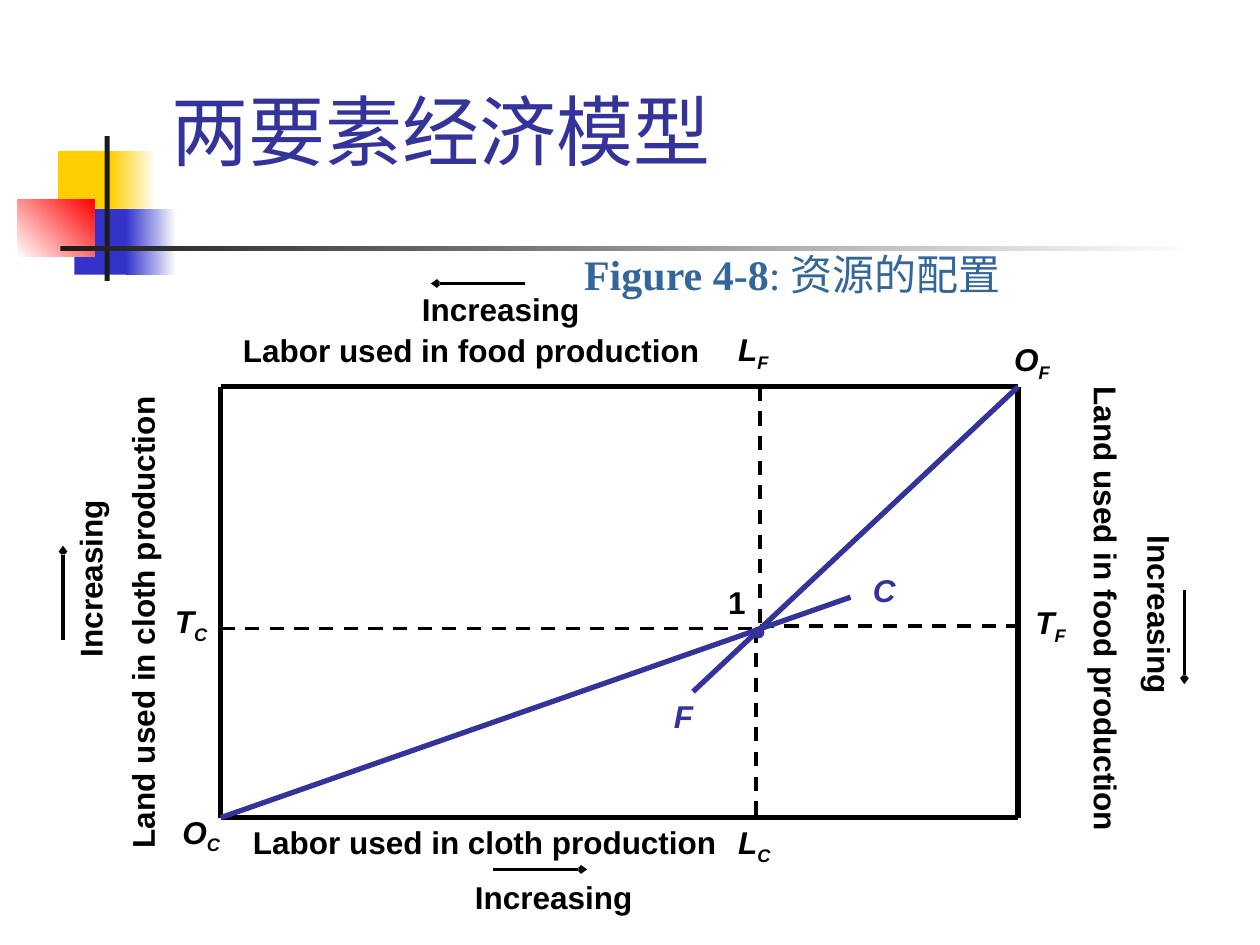
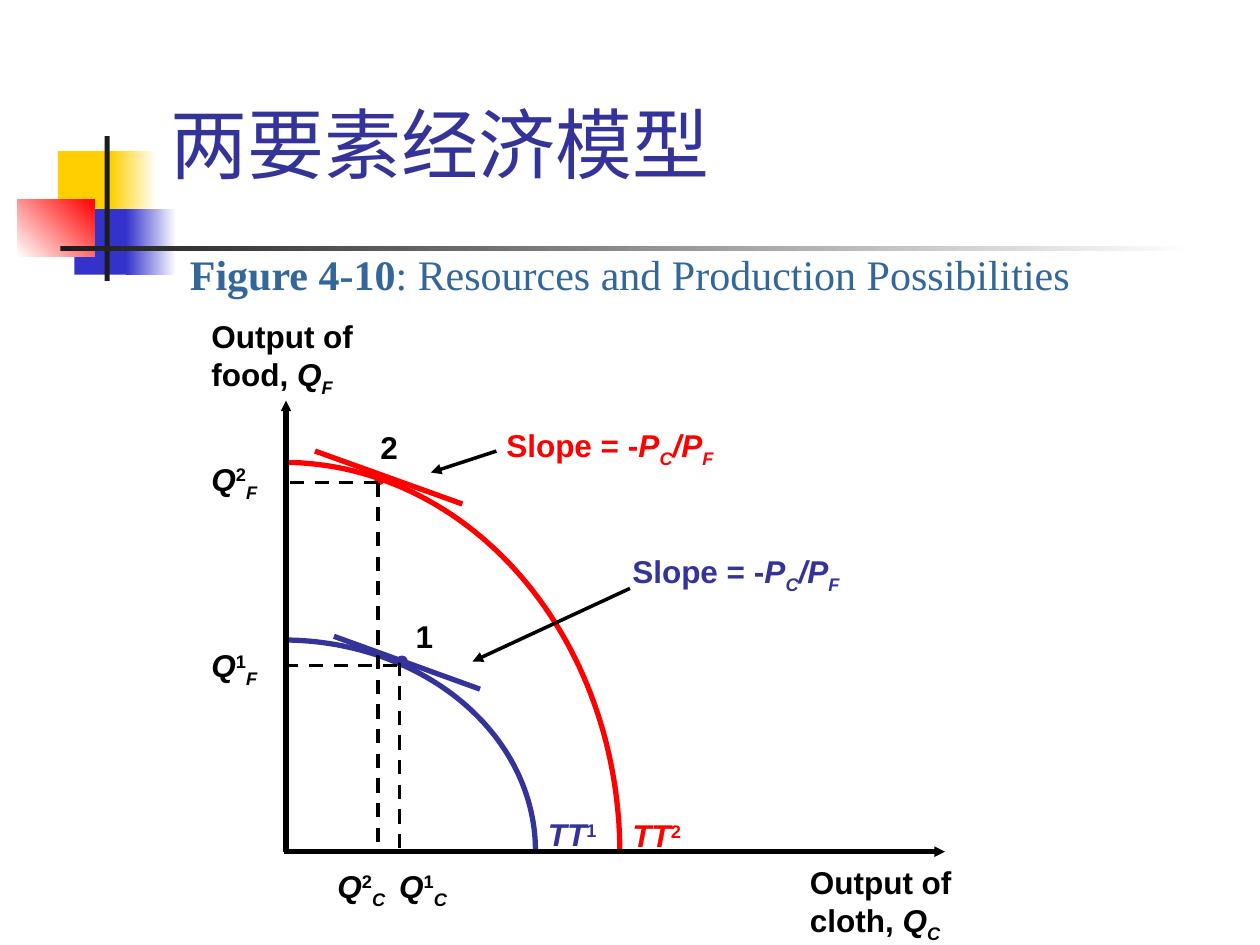
import math
from dataclasses import dataclass
from typing import NamedTuple, Optional

from lxml import etree
from pptx import Presentation
from pptx.dml.color import RGBColor
from pptx.enum import dml, shapes, text
from pptx.oxml import ns
from pptx.util import Inches, Pt


@dataclass(frozen=True)
class Theme:
    ink: str = "000000"
    indigo: str = "333399"
    red: str = "FF0000"
    caption: str = "336699"
    yellow: str = "FFCF01"
    blue: str = "3333CC"
    charcoal: str = "1C1C1C"
    white: str = "FFFFFF"
    title_font: str = "Roboto"
    caption_font: str = "Times New Roman"
    label_font: str = "Arial"
    title_size: int = 44
    caption_size: int = 24
    label_size: int = 18
    thin: int = 2
    thick: int = 3


T = Theme()
TITLE = "两要素经济模型"


class Run(NamedTuple):
    text: str
    italic: bool = False
    baseline: int = 0


class Label(NamedTuple):
    left: float
    top: float
    width: float
    lines: list[list[Run]]
    color: str = T.ink
    rotation: int = 0
    wrap: bool = False


class Line(NamedTuple):
    start: tuple[float, float]
    end: tuple[float, float]
    color: str = T.ink
    weight: int = T.thin
    dashed: bool = False
    head: Optional[str] = None
    head_size: str = "med"


class Dot(NamedTuple):
    left: float
    top: float
    color: str
    outlined: bool = True


class Frontier(NamedTuple):
    """A quarter ellipse that falls from the food axis to the cloth axis."""
    left: float
    top: float
    width: float
    height: float
    color: str


class Band(NamedTuple):
    box: tuple[float, float, float, float]
    color: str
    fade_to: Optional[str] = None
    angle: int = 0


BANDS = [
    Band((0.46, 1.2, 0.48, 0.52), T.yellow),
    Band((0.88, 1.2, 0.36, 0.52), T.yellow, T.white),
    Band((0.59, 1.66, 0.46, 0.52), T.blue),
    Band((1, 1.66, 0.4, 0.52), T.blue, T.white),
    Band((0.14, 1.58, 0.61, 0.46), T.white, T.red, 45),
    Band((0.83, 1.08, 0.04, 1.15), T.charcoal),
    Band((0.48, 1.95, 9, 0.04), T.charcoal, T.white),
]


def rgb(color: str) -> RGBColor:
    return RGBColor.from_string(color)


def plain(s: str) -> list[list[Run]]:
    return [[Run(s)]]


def indexed(letter: str, sub: str, sup: str = "") -> list[Run]:
    """An italic symbol with a subscript and perhaps an upright superscript."""
    runs = [Run(letter, True)]
    if sup:
        runs.append(Run(sup, False, 30))
    return runs + [Run(sub, True, -25)]


def add_band(slide, band: Band) -> None:
    sp = slide.shapes.add_shape(shapes.MSO_SHAPE.RECTANGLE, *map(Inches, band.box))
    sp.shadow.inherit = False
    sp.line.fill.background()
    if band.fade_to is None:
        sp.fill.solid()
        sp.fill.fore_color.rgb = rgb(band.color)
        return
    sp.fill.gradient()
    sp.fill.gradient_angle = band.angle
    for stop, color in zip(sp.fill.gradient_stops, (band.color, band.fade_to)):
        stop.color.rgb = rgb(color)


def add_line(slide, line: Line) -> None:
    cxn = slide.shapes.add_connector(
        shapes.MSO_CONNECTOR.STRAIGHT, *map(Inches, line.start + line.end))
    cxn.line.color.rgb = rgb(line.color)
    cxn.line.width = Pt(line.weight)
    if line.dashed:
        cxn.line.dash_style = dml.MSO_LINE.DASH
    if line.head:
        etree.SubElement(cxn.line._get_or_add_ln(), ns.qn("a:tailEnd"),
                         type=line.head, w=line.head_size, len=line.head_size)
    etree.SubElement(cxn._element.spPr, ns.qn("a:effectLst"))


def add_dot(slide, dot: Dot) -> None:
    sp = slide.shapes.add_shape(shapes.MSO_SHAPE.OVAL, Inches(dot.left), Inches(dot.top),
                                Inches(0.08), Inches(0.08))
    sp.shadow.inherit = False
    sp.fill.solid()
    sp.fill.fore_color.rgb = rgb(dot.color)
    if dot.outlined:
        sp.line.color.rgb = rgb(dot.color)
        sp.line.width = Pt(1)
    else:
        sp.line.fill.background()


def add_frontier(slide, f: Frontier, steps: int = 60) -> None:
    angles = [math.pi / 2 * i / steps for i in range(steps + 1)]
    points = [(Inches(f.left + f.width * math.sin(a)),
               Inches(f.top + f.height * (1 - math.cos(a)))) for a in angles]
    builder = slide.shapes.build_freeform(*points[0])
    builder.add_line_segments(points[1:], close=False)
    sp = builder.convert_to_shape()
    sp.shadow.inherit = False
    sp.fill.background()
    sp.line.color.rgb = rgb(f.color)
    sp.line.width = Pt(T.thick)


def add_label(slide, label: Label) -> None:
    height = 0.4 if len(label.lines) == 1 else 0.74
    box = slide.shapes.add_textbox(*map(Inches, (label.left, label.top, label.width, height)))
    box.rotation = label.rotation
    tf = box.text_frame
    tf.word_wrap = label.wrap
    tf.auto_size = text.MSO_AUTO_SIZE.SHAPE_TO_FIT_TEXT
    for i, runs in enumerate(label.lines):
        p = tf.add_paragraph() if i else tf.paragraphs[0]
        p.font.name, p.font.size, p.font.bold = T.label_font, Pt(T.label_size), True
        p.font.color.rgb = rgb(label.color)
        for run in runs:
            r = p.add_run()
            r.text = run.text
            if run.italic:
                r.font.italic = True
            if run.baseline:
                r._r.get_or_add_rPr().set("baseline", str(run.baseline * 1000))


def add_caption(slide, left: float, width: float, number: str, words: str) -> None:
    box = slide.shapes.add_textbox(*map(Inches, (left, 1.17, width, 1.25)))
    tf = box.text_frame
    tf.word_wrap = True
    tf.vertical_anchor = text.MSO_ANCHOR.BOTTOM
    p = tf.paragraphs[0]
    p.alignment = text.PP_ALIGN.CENTER
    p.font.name, p.font.size = T.caption_font, Pt(T.caption_size)
    p.font.color.rgb = rgb(T.caption)
    for part, bold in ((number, True), (words, False)):
        r = p.add_run()
        r.text = part
        r.font.bold = bold


def new_slide(prs, title_left: float, title_top: float):
    """A slide with the shared bands and title."""
    slide = prs.slides.add_slide(prs.slide_layouts[5])
    for band in BANDS:
        add_band(slide, band)
    title = slide.shapes.title
    title.left, title.top, title.width, title.height = map(
        Inches, (title_left, title_top, 8.52, 1.6))
    tf = title.text_frame
    tf.text = TITLE
    tf.vertical_anchor = text.MSO_ANCHOR.MIDDLE
    p = tf.paragraphs[0]
    p.alignment = text.PP_ALIGN.LEFT
    p.font.name, p.font.size = T.title_font, Pt(T.title_size)
    p.font.color.rgb = rgb(T.indigo)
    return slide


DRAW = {Line: add_line, Dot: add_dot, Frontier: add_frontier, Label: add_label}


def draw(slide, items: list) -> None:
    for item in items:
        DRAW[type(item)](slide, item)


def allocation_slide(prs) -> None:
    slide = new_slide(prs, 1.26, 0.23)
    left, top, right, bottom = 1.75, 3.07, 8.08, 6.49
    corners = [(left, top), (right, top), (right, bottom), (left, bottom)]
    guides = [((6.03, 4.97), (right, 4.97)), ((6.03, top), (6.03, 4.97)),
              ((6, 4.99), (6, bottom)), ((left, 4.99), (6, 4.99))]
    arrows = [((4.17, 2.25), (3.42, 2.25)), ((3.91, 6.9), (4.66, 6.9)),
              ((9.4, 4.68), (9.4, 5.43)), ((0.5, 5.08), (0.5, 4.33))]
    increasing = [(3.25, 2.25, 0), (3.67, 6.92, 0), (8.48, 4.68, 90), (-0.01, 4.39, 270)]
    axes = [(1.83, 2.58, 3.86, "Labor used in food production", 0),
            (1.91, 6.48, 3.9, "Labor used in cloth production", 0),
            (-0.77, 4.73, 3.8, "Land used in cloth production", 270),
            (6.9, 4.65, 3.76, "Land used in food production", 90)]
    symbols = [(5.76, 2.57, 0.44, "L", "F"), (8.12, 4.74, 0.44, "T", "F"),
               (5.76, 6.48, 0.46, "L", "C"), (1.29, 4.73, 0.46, "T", "C"),
               (7.95, 2.65, 0.48, "O", "F"), (1.35, 6.4, 0.5, "O", "C")]
    draw(slide, [
        *(Line(a, b, dashed=True) for a, b in guides),
        *(Line(a, b, weight=T.thick) for a, b in zip(corners, corners[1:] + corners[:1])),
        *(Line(a, b, head="arrow", head_size="sm") for a, b in arrows),
        Dot(5.98, 4.98, T.indigo),
        Line((right, top), (5.5, 5.49), T.indigo, T.thick),
        Line((left, bottom), (6.75, 4.74), T.indigo, T.thick),
        *(Label(x, y, 1.45, plain("Increasing"), rotation=turn) for x, y, turn in increasing),
        *(Label(x, y, w, plain(s), rotation=turn) for x, y, w, s, turn in axes),
        *(Label(x, y, w, [indexed(s, sub)]) for x, y, w, s, sub in symbols),
        Label(5.68, 4.58, 0.34, plain("1")),
        Label(5.25, 5.48, 0.35, [[Run("F", True)]], T.indigo),
        Label(6.83, 4.48, 0.38, [[Run("C", True)]], T.indigo),
    ])
    add_caption(slide, 3.75, 5.08, "Figure 4-8", ": 资源的配置")


def possibilities_slide(prs) -> None:
    slide = new_slide(prs, 1.25, 0.33)
    axis, base = 2.25, 6.75
    guides = [((3, 3.83), (3, base)), ((3, 3.83), (axis, 3.83)),
              ((3.15, 5.28), (axis, 5.28)), ((3.17, 5.25), (3.17, base))]
    slope = [Run("Slope = -"), *indexed("P", "C"), *indexed("/P", "F")]
    outputs = [(1.58, 2.47, 1.42, "food, ", "F"), (6.33, 6.8, 1.5, "cloth, ", "C")]
    quantities = [(1.58, 3.6, 0.67, "2", "F"), (2.58, 6.83, 0.67, "2", "C"),
                  (1.58, 5.08, 0.75, "1", "F"), (3.07, 6.83, 0.77, "1", "C")]
    frontiers = [(4.25, 6.42, "1", T.indigo), (4.92, 6.43, "2", T.red)]
    draw(slide, [
        Frontier(axis, 5.08, 2, 1.67, T.indigo),
        Frontier(axis, 3.67, 2.67, 3.1, T.red),
        Line((2.27, 6.76), (2.27, 3.18), weight=T.thick, head="triangle", head_size="sm"),
        Line((axis, 6.76), (7.5, 6.76), weight=T.thick, head="triangle", head_size="sm"),
        Line((2.5, 3.58), (3.67, 4), T.red, T.thick),
        Line((3.94, 3.58), (3.42, 3.75), head="triangle"),
        Line((5, 4.67), (3.75, 5.25), head="triangle"),
        Dot(2.97, 3.77, T.red, outlined=False),
        Dot(3.15, 5.21, T.indigo),
        *(Line(a, b, dashed=True) for a, b in guides),
        Line((2.65, 5.05), (3.81, 5.47), T.indigo, T.thick),
        *(Label(x, y, 0.6, [[Run("TT", True), Run(n, False, 30)]], color)
          for x, y, n, color in frontiers),
        *(Label(x, y, w, [[Run("Output of")], [Run(good), *indexed("Q", sub)]], wrap=True)
          for x, y, w, good, sub in outputs),
        *(Label(x, y, w, [indexed("Q", sub, sup)], wrap=True)
          for x, y, w, sup, sub in quantities),
        Label(3.92, 3.33, 2.08, [slope], T.red, wrap=True),
        Label(4.92, 4.33, 1.92, [slope], T.indigo, wrap=True),
        Label(2.92, 3.35, 0.34, plain("2")),
        Label(3.2, 4.85, 0.34, plain("1")),
    ])
    add_caption(slide, 0, 10, "Figure 4-10", ": Resources and Production Possibilities")


def main() -> None:
    prs = Presentation()
    prs.slide_width, prs.slide_height = Inches(10), Inches(7.5)
    allocation_slide(prs)
    possibilities_slide(prs)
    prs.save("out.pptx")


if __name__ == "__main__":
    main()
